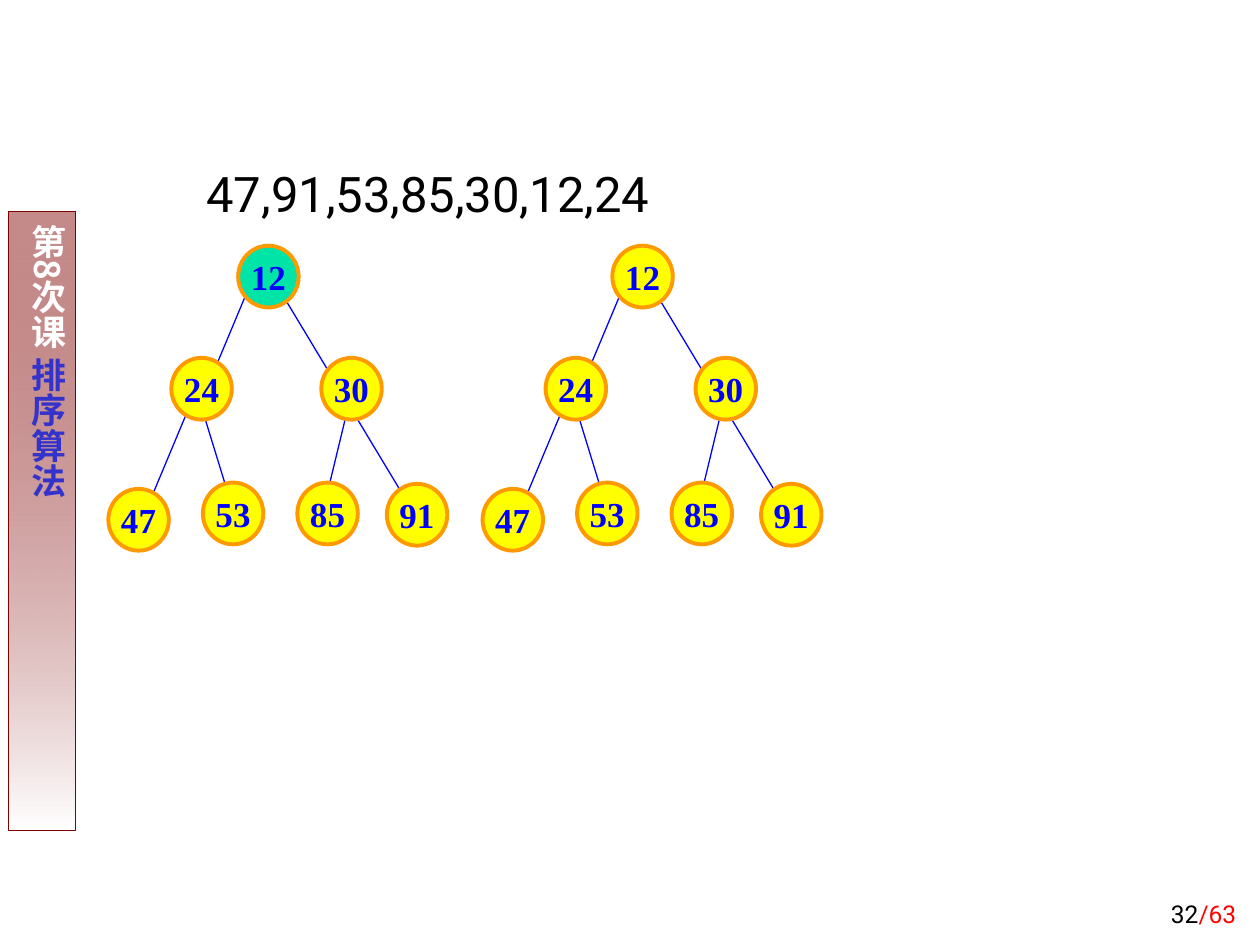
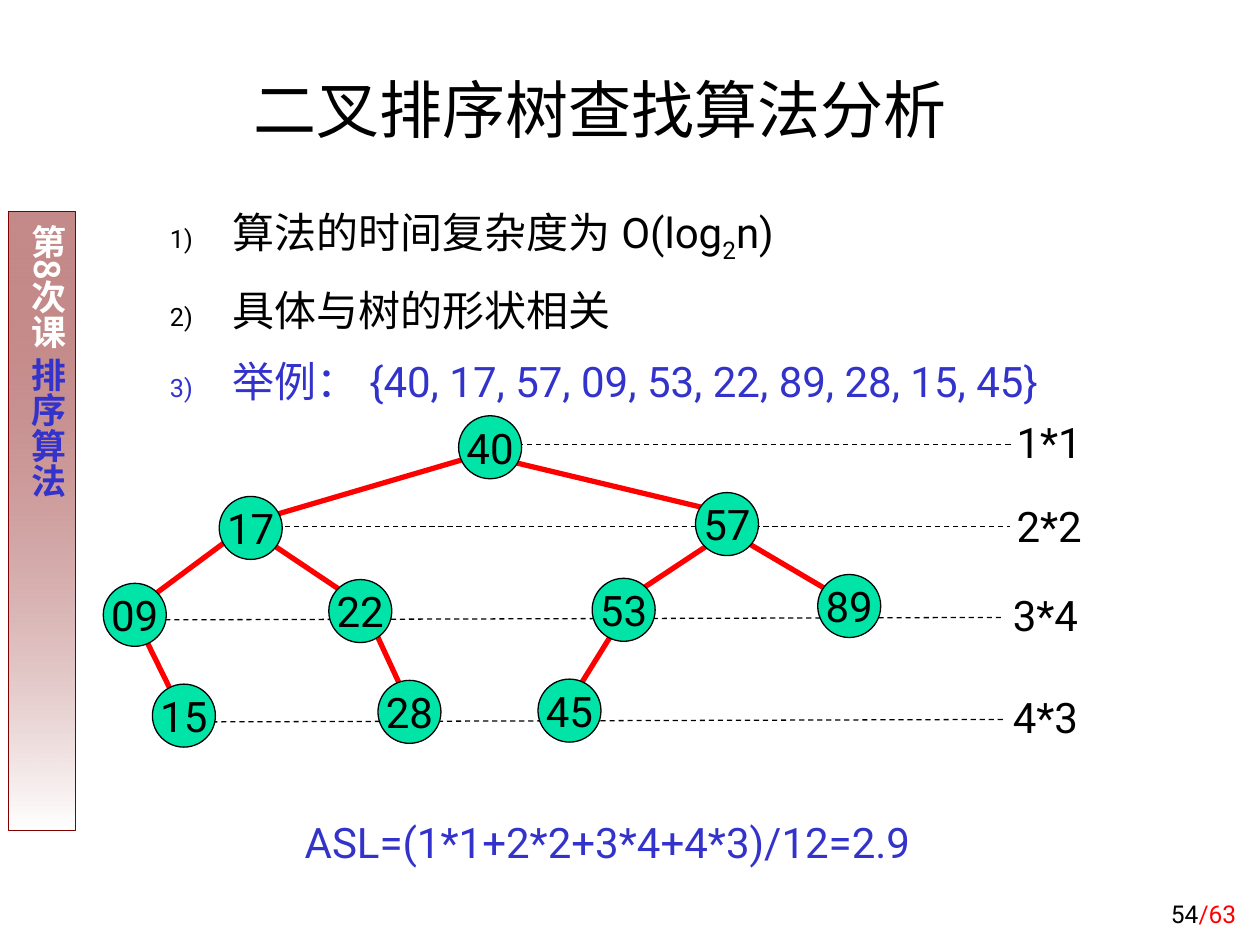
import lxml.etree
import pptx
import pptx.dml.color
import pptx.enum.dml
import pptx.enum.lang
import pptx.enum.shapes
import pptx.enum.text
import pptx.oxml.ns
import pptx.util

RGBColor = pptx.dml.color.RGBColor
ALIGN = pptx.enum.text.PP_ALIGN
ANCHOR = pptx.enum.text.MSO_ANCHOR
SHAPE = pptx.enum.shapes.MSO_SHAPE
qn = pptx.oxml.ns.qn

BLACK = RGBColor(0x00, 0x00, 0x00)
WHITE = RGBColor(0xFF, 0xFF, 0xFF)
MAROON = RGBColor(0x80, 0x00, 0x00)
INDIGO = RGBColor(0x33, 0x33, 0xCC)
BLUE = RGBColor(0x00, 0x00, 0xFF)
RED = RGBColor(0xFF, 0x00, 0x00)
GREEN = RGBColor(0x00, 0xE4, 0xA8)
YELLOW = RGBColor(0xFF, 0xFF, 0x00)
ORANGE = RGBColor(0xFF, 0x99, 0x00)

SANS = "Roboto"
SERIF = "Times New Roman"
HAN = "Noto Sans CJK SC"

COLUMNS, ROWS = 100, 75
WIDTH, HEIGHT = pptx.util.Inches(10), pptx.util.Inches(7.5)

PAGE_COUNT = 63
HEAP_SHIFT = 29.7
HEAP_NODES = [
    ("12", 18.9, 19.5), ("30", 25.5, 28.4), ("24", 13.6, 28.4), ("91", 30.7, 38.4),
    ("85", 23.6, 38.3), ("53", 16.1, 38.3), ("47", 8.6, 38.8),
]
HEAP_EDGES = [
    (15.4, 31.4, 11.8, 40), (20.1, 22, 16.5, 30.6), (15.9, 32, 18.6, 40.8),
    (27.8, 31.6, 25.7, 40.3), (21.4, 21.7, 32.6, 40.3),
]
SEARCH_NODES = [
    ("40", 36.4, 33), ("17", 17.4, 39.4), ("57", 55.2, 39.1), ("09", 8.2, 46.3),
    ("22", 26.1, 46), ("53", 47, 45.9), ("89", 64.9, 45.6), ("15", 12.1, 54.3),
    ("28", 30, 54), ("45", 42.7, 53.9),
]
SEARCH_EDGES = [
    (37, 36.4, 21, 41.1), (18.3, 42.7, 11.7, 47.6), (20.7, 42.6, 28.3, 47.7),
    (11.2, 50, 14.3, 56.3), (29.4, 49.3, 32.5, 56), (40.4, 36.6, 56.7, 40.5),
    (57.2, 42.6, 50.4, 47.1), (58.5, 42.6, 68, 48.2), (49.2, 49.3, 45.6, 55.1),
]
LEVEL_LINES = [
    (41.1, 35.3, 80.3, 35.3), (21.9, 41.8, 80.2, 41.8),
    (12.4, 49.2, 79.7, 49), (14.7, 57.3, 79.8, 57.1),
]
LEVEL_COSTS = [
    ("1*1", 79.7, 32.6), ("2*2", 79.7, 39.2), ("3*4", 79.4, 46.3), ("4*3", 79.4, 54.4),
]


def col(count):
    return round(WIDTH * count / COLUMNS)


def row(count):
    return round(HEIGHT * count / ROWS)


def cell_range(left, top, width, height):
    return col(left), row(top), col(width), row(height)


def set_font(paragraph, size, color, name=SANS, bold=False):
    font = paragraph.font
    font.size = pptx.util.Pt(size)
    font.bold = bold
    font.name = name
    font.color.rgb = color
    font.language_id = pptx.enum.lang.MSO_LANGUAGE_ID.SIMPLIFIED_CHINESE
    defaults = paragraph._p.pPr.find(qn("a:defRPr"))
    lxml.etree.SubElement(defaults, qn("a:ea")).set("typeface", name)


def add_run(paragraph, text, color=None):
    run = paragraph.add_run()
    run.text = text
    if color is not None:
        run.font.color.rgb = color
    return run


def add_label(slide, text, area, size, color=BLACK, align=ALIGN.LEFT,
              anchor=ANCHOR.TOP, wrap=False):
    frame = slide.shapes.add_textbox(*cell_range(*area)).text_frame
    frame.word_wrap = wrap
    frame.vertical_anchor = anchor
    paragraph = frame.paragraphs[0]
    paragraph.alignment = align
    add_run(paragraph, text)
    set_font(paragraph, size, color)
    return frame


def add_line(shapes, ends, color, width, dash=None):
    x1, y1, x2, y2 = ends
    line = shapes.add_connector(pptx.enum.shapes.MSO_CONNECTOR.STRAIGHT,
                                col(x1), row(y1), col(x2), row(y2))
    line.line.color.rgb = color
    line.line.width = pptx.util.Pt(width)
    if dash:
        line.line.dash_style = dash
    lxml.etree.SubElement(line._element.spPr, qn("a:effectLst"))


def add_node(shapes, key, area, fill, outline, outline_width, font):
    node = shapes.add_shape(SHAPE.OVAL, *cell_range(*area))
    node.shadow.inherit = False
    node.fill.solid()
    node.fill.fore_color.rgb = fill
    node.line.color.rgb = outline
    node.line.width = pptx.util.Pt(outline_width)
    frame = node.text_frame
    frame.word_wrap = False
    frame.vertical_anchor = ANCHOR.MIDDLE
    paragraph = frame.paragraphs[0]
    paragraph.alignment = ALIGN.CENTER
    add_run(paragraph, key)
    set_font(paragraph, **font)


def add_heap(slide, shift, root_fill):
    tree = slide.shapes.add_group_shape().shapes
    for x1, y1, x2, y2 in HEAP_EDGES:
        add_line(tree, (x1 + shift, y1, x2 + shift, y2), BLUE, 0.75)
    font = dict(size=20, color=BLUE, name=SERIF, bold=True)
    for key, left, top in HEAP_NODES:
        fill = root_fill if key == "12" else YELLOW
        add_node(tree, key, (left + shift, top, 4.8, 4.9), fill, ORANGE, 2.25, font)


def add_search_tree(slide):
    tree = slide.shapes.add_group_shape().shapes
    for ends in SEARCH_EDGES:
        add_line(tree, ends, RED, 3)
    for key, left, top in SEARCH_NODES:
        add_node(tree, key, (left, top, 5, 5), GREEN, BLACK, 0.75,
                 dict(size=24, color=BLACK))


def add_lesson_band(slide):
    band = slide.shapes.add_shape(SHAPE.RECTANGLE, *cell_range(0.7, 16.8, 5.3, 49.1))
    band.shadow.inherit = False
    band.line.color.rgb = MAROON
    band.line.width = pptx.util.Pt(0.75)
    band.fill.gradient()
    band.fill.gradient_angle = 270
    for stop, position, color in zip(band.fill.gradient_stops, (0, 1), (MAROON, WHITE)):
        stop.position = position
        stop.color.rgb = color
    tint = next(band._element.spPr.iter(qn("a:srgbClr")))
    lxml.etree.SubElement(tint, qn("a:alpha")).set("val", "46000")
    frame = band.text_frame
    frame.margin_left = frame.margin_right = col(0.5)
    frame.margin_top = frame.margin_bottom = row(1)
    frame.vertical_anchor = ANCHOR.TOP
    frame._txBody.bodyPr.set("vert", "eaVert")
    paragraph = frame.paragraphs[0]
    paragraph.alignment = ALIGN.CENTER
    add_run(paragraph, "第8次课 ")
    add_run(paragraph, "排序算法", INDIGO)
    set_font(paragraph, 20, WHITE, HAN, bold=True)


def add_page_number(slide, number):
    frame = add_label(slide, str(number), (78.3, 69.2, 20.8, 5), 14,
                      align=ALIGN.RIGHT, anchor=ANCHOR.BOTTOM, wrap=True)
    add_run(frame.paragraphs[0], f"/{PAGE_COUNT}", RED)


def add_title(slide, text):
    frame = add_label(slide, text, (16.1, 4.4, 63, 7.2), 36,
                      align=ALIGN.CENTER, anchor=ANCHOR.BOTTOM, wrap=True)
    frame.margin_left = frame.margin_right = frame.margin_top = frame.margin_bottom = 0


def number_paragraph(paragraph, color):
    properties = paragraph._p.get_or_add_pPr()
    properties.set("marL", str(col(5)))
    properties.set("indent", str(-col(5)))
    bullet_color = lxml.etree.SubElement(properties, qn("a:buClr"))
    lxml.etree.SubElement(bullet_color, qn("a:srgbClr")).set("val", str(color))
    lxml.etree.SubElement(properties, qn("a:buSzPct")).set("val", "60000")
    lxml.etree.SubElement(properties, qn("a:buAutoNum")).set("type", "arabicParenR")


def add_analysis(slide, points):
    frame = slide.shapes.add_textbox(*cell_range(12.5, 15, 77.9, 17)).text_frame
    frame.word_wrap = True
    for index, (parts, color) in enumerate(points):
        paragraph = frame.add_paragraph() if index else frame.paragraphs[0]
        paragraph.line_spacing = 1.2
        paragraph.space_before = pptx.util.Pt(6 if index else 0)
        number_paragraph(paragraph, color)
        for position, part in enumerate(parts):
            run = add_run(paragraph, part)
            if position == 1:
                run._r.get_or_add_rPr().set("baseline", "-25000")
        set_font(paragraph, 24, color)


def start_slide(deck, number):
    slide = deck.slides.add_slide(deck.slide_layouts[6])
    add_lesson_band(slide)
    add_page_number(slide, number)
    return slide


def build_heap_slide(deck):
    slide = start_slide(deck, 32)
    add_label(slide, "47,91,53,85,30,12,24", (15.4, 12.5, 39.3, 5.7), 28)
    add_heap(slide, 0, GREEN)
    add_heap(slide, HEAP_SHIFT, YELLOW)


def build_search_slide(deck):
    slide = start_slide(deck, 54)
    for ends in LEVEL_LINES:
        add_line(slide.shapes, ends, BLACK, 0.75, pptx.enum.dml.MSO_LINE.DASH)
    add_title(slide, "二叉排序树查找算法分析")
    add_analysis(slide, [
        (("算法的时间复杂度为 O(log", "2", "n)"), BLACK),
        (("具体与树的形状相关",), BLACK),
        (("举例： {40, 17, 57, 09, 53, 22, 89, 28, 15, 45}",), INDIGO),
    ])
    add_label(slide, "ASL=(1*1+2*2+3*4+4*3)/12=2.9", (23.2, 64.3, 52.4, 5), 24, INDIGO)
    add_search_tree(slide)
    for cost, left, top in LEVEL_COSTS:
        add_label(slide, cost, (left, top, 7.6, 5), 24)


def main():
    deck = pptx.Presentation()
    deck.slide_width, deck.slide_height = WIDTH, HEIGHT
    build_heap_slide(deck)
    build_search_slide(deck)
    deck.save("out.pptx")


if __name__ == "__main__":
    main()
